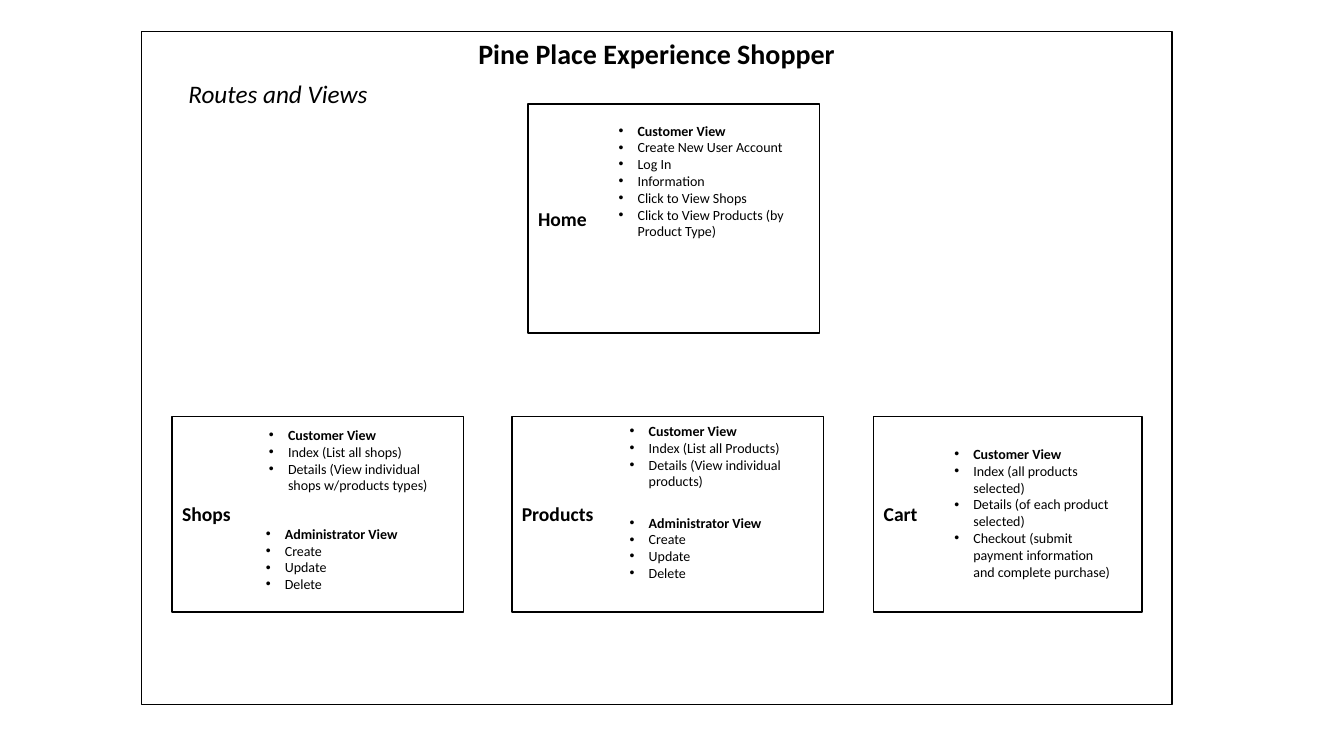
from pptx import Presentation
from pptx.dml.color import RGBColor
from pptx.enum.shapes import MSO_SHAPE as Shape
from pptx.enum.text import MSO_ANCHOR as Anchor, PP_ALIGN as Align
from pptx.oxml.ns import qn
from pptx.util import Cm, Pt
from lxml.etree import SubElement

COLORS = {"ink": "000000", "paper": "FFFFFF"}


class Sketch:
    """Style of the diagram and the slide being drawn."""

    font_name = "Calibri"
    bullet_indent = Cm(0.48)

    def __init__(self, slide):
        self.slide = slide

    def color(self, name):
        return RGBColor.from_string(COLORS[name])

    def style(self, paragraph, size, bold=False, italic=False):
        font = paragraph.font
        font.name, font.size = self.font_name, Pt(size)
        font.bold, font.italic = bold, italic
        font.color.rgb = self.color("ink")

    def box(self, parent, place, label, size, fill=None,
            align=Align.LEFT, anchor=Anchor.MIDDLE):
        rect = parent.add_shape(Shape.RECTANGLE, *map(Cm, place))
        rect.shadow.inherit = False
        if fill:
            rect.fill.solid()
            rect.fill.fore_color.rgb = self.color(fill)
        else:
            rect.fill.background()
        rect.line.color.rgb = self.color("ink")
        rect.line.width = Pt(1)
        rect.text_frame.vertical_anchor = anchor
        heading = rect.text_frame.paragraphs[0]
        heading.text, heading.alignment = label, align
        self.style(heading, size, bold=True)

    def caption(self, place, words, size):
        frame = self.slide.shapes.add_textbox(*map(Cm, place)).text_frame
        frame.word_wrap = False
        frame.paragraphs[0].text = words
        self.style(frame.paragraphs[0], size, italic=True)

    def bullets(self, parent, place, lines):
        frame = parent.add_textbox(*map(Cm, place)).text_frame
        frame.word_wrap = True
        frame.text = "\n".join(lines)
        for number, paragraph in enumerate(frame.paragraphs):
            self.style(paragraph, 10, bold=number == 0)
            props = paragraph._p.get_or_add_pPr()
            props.set("marL", str(self.bullet_indent))
            props.set("indent", str(-self.bullet_indent))
            # Bullet elements go ahead of the default run properties
            bullet_font = SubElement(props, qn("a:buFont"), typeface="Arial")
            bullet = SubElement(props, qn("a:buChar"), char="•")
            props.insert(0, bullet_font)
            props.insert(1, bullet)

    def route(self, name, place, views):
        group = self.slide.shapes.add_group_shape().shapes
        self.box(group, place, name, 14, fill="paper")
        for view_place, lines in views:
            self.bullets(group, view_place, lines)


deck = Presentation()
deck.slide_width, deck.slide_height = Cm(33.87), Cm(19.05)
sketch = Sketch(deck.slides.add_slide(deck.slide_layouts[6]))

# Frame with title, and subtitle
sketch.box(sketch.slide.shapes, (3.56, 0.79, 25.98, 16.97),
           "Pine Place Experience Shopper", 20,
           align=Align.CENTER, anchor=Anchor.TOP)
sketch.caption((4.5, 1.85, 5.08, 1.02), "Routes and Views", 18)

# Home page
sketch.route("Home", (13.31, 2.62, 7.34, 5.77), [
    ((15.34, 2.95, 4.8, 4.09),
     ["Customer View", "Create New User Account", "Log In", "Information",
      "Click to View Shops", "Click to View Products (by Product Type)"]),
])

# Row of pages below home
row_top, row_height = 10.49, 4.93
admin_view = ["Administrator View", "Create", "Update", "Delete"]

sketch.route("Cart", (22.02, row_top, 6.76, row_height), [
    ((23.8, 11.1, 4.55, 3.68),
     ["Customer View", "Index (all products selected)",
      "Details (of each product selected)",
      "Checkout (submit payment information and complete purchase)"]),
])
sketch.route("Shops", (4.34, row_top, 7.34, row_height), [
    ((6.53, 10.62, 4.65, 1.96),
     ["Customer View", "Index (List all shops)",
      "Details (View individual shops w/products types)"]),
    ((6.45, 13.11, 4.65, 1.96), admin_view),
])
sketch.route("Products", (12.9, row_top, 7.85, row_height), [
    ((15.62, 10.52, 4.65, 2.29),
     ["Customer View", "Index (List all Products)",
      "Details (View individual products)"]),
    ((15.62, 12.83, 4.65, 2.29), admin_view),
])

deck.save("out.pptx")
